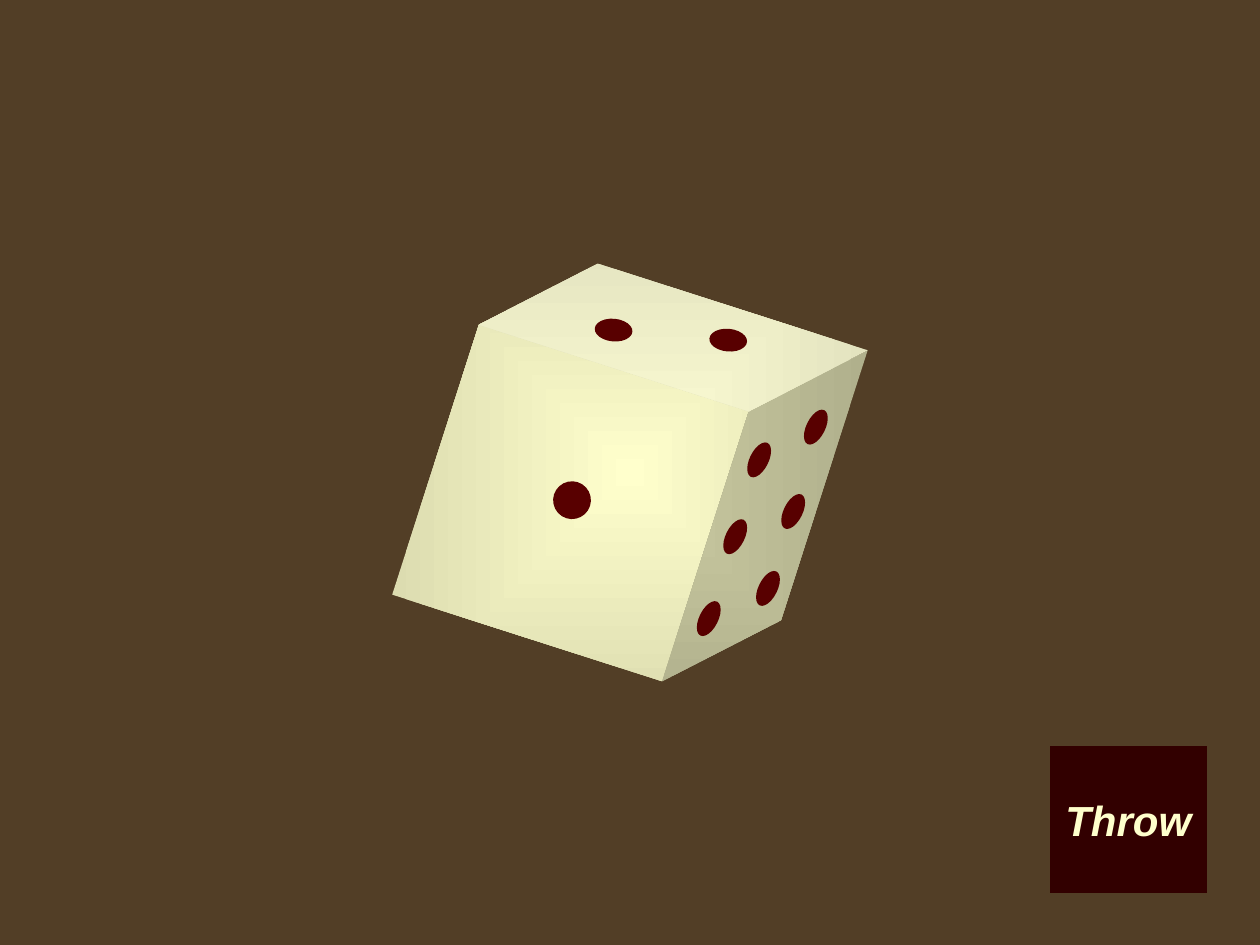
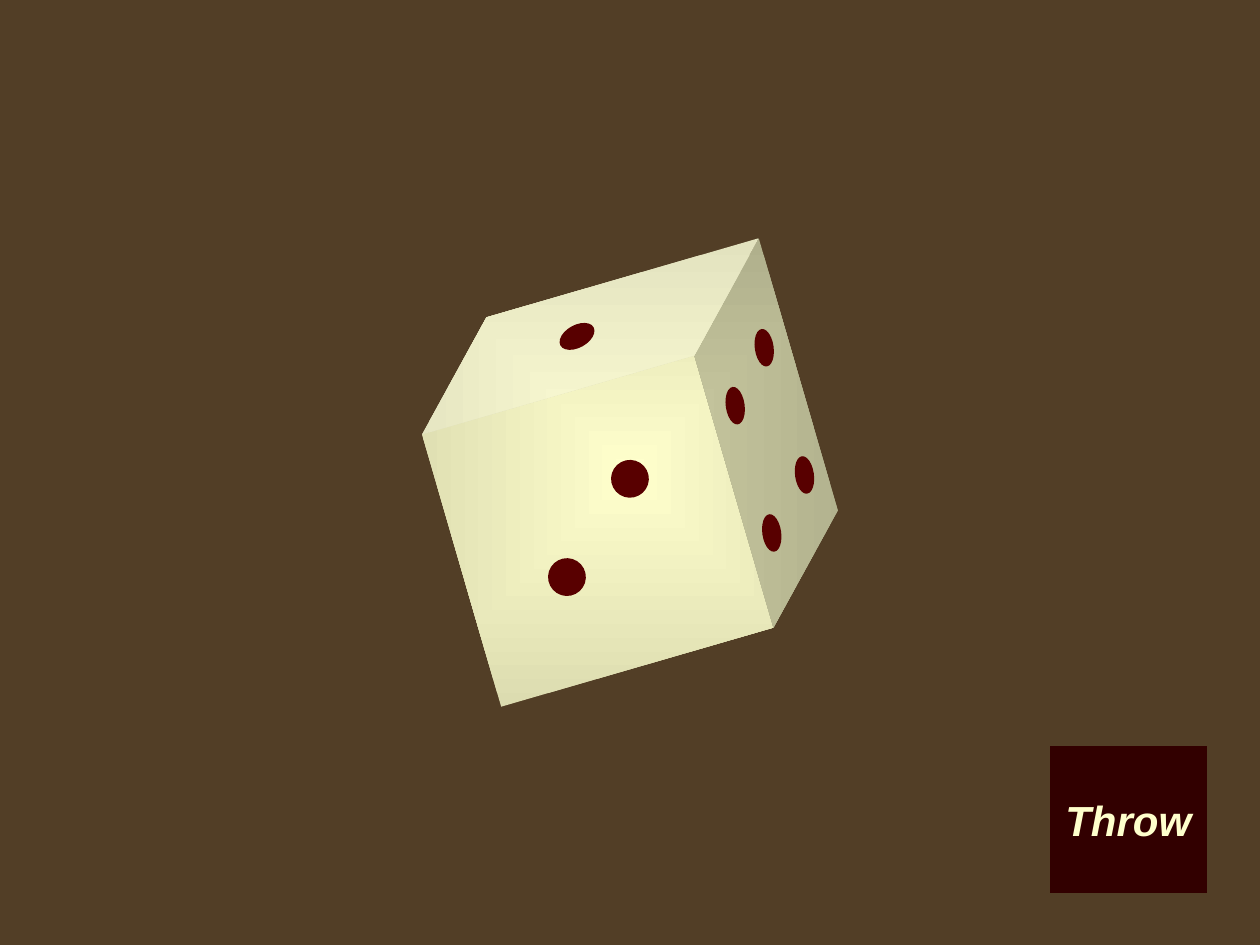
from lxml import etree
from pptx import Presentation
from pptx import util as u
from pptx.dml import color as c
from pptx.enum import shapes as es, text as et
from pptx.oxml import ns

# Colours
TABLE_BROWN = c.RGBColor(0x52, 0x3E, 0x26)
IVORY = c.RGBColor(0xFF, 0xFF, 0xCC)
IVORY_SHADE = c.RGBColor(0xDC, 0xDC, 0xB0)
PIP_RED = c.RGBColor(0x58, 0x00, 0x00)
BUTTON_RED = c.RGBColor(0x32, 0x00, 0x00)

# Pip width and height on each face of the die
FRONT = (0.3, 0.3)
TOP = (0.3, 0.18)
SIDE = (0.15, 0.3)

# Each throw: turn of the die, then (pip size, pip turn, pip corners) per face
THROWS = [
    (17.8, [
        (TOP, 5.1, [(4.72, 2.53), (5.63, 2.61)]),
        (FRONT, 17.8, [(4.39, 3.82)]),
        (SIDE, 26.2, [(6.4, 3.24), (5.76, 4.11), (5.55, 4.76),
                      (5.95, 3.5), (6.02, 4.52), (6.22, 3.91)]),
    ]),
    (343.8, [
        (FRONT, 302.6, [(4.35, 4.43), (4.85, 3.65)]),
        (TOP, 331.1, [(4.43, 2.58)]),
        (SIDE, 352.2, [(5.99, 2.61), (6.05, 4.08), (5.76, 3.07), (6.31, 3.62)]),
    ]),
]


def add_plain(slide, preset, left, top, width, height, turn=0):
    """Add a preset shape without outline or shadow."""
    plain = slide.shapes.add_shape(
        preset, *(u.Inches(v) for v in (left, top, width, height)))
    plain.rotation = turn
    plain.shadow.inherit = False
    plain.line.fill.background()
    return plain


def add_solid(slide, preset, left, top, width, height, colour, turn=0):
    solid = add_plain(slide, preset, left, top, width, height, turn)
    solid.fill.solid()
    solid.fill.fore_color.rgb = colour
    return solid


def add_die(slide, turn):
    """Add the cube, lit from its centre outwards."""
    die = add_plain(slide, es.MSO_SHAPE.CUBE, 3.5, 2.25, 3, 3, turn)
    die.adjustments[0] = 0.25
    die.fill.gradient()
    for stop, colour in zip(die.fill.gradient_stops, (IVORY, IVORY_SHADE)):
        stop.color.rgb = colour
    # Turn the linear gradient into a rectangular one that stays upright
    glow = die._element.spPr.find(ns.qn("a:gradFill"))
    glow.set("rotWithShape", "0")
    glow.remove(glow.find(ns.qn("a:lin")))
    rings = etree.SubElement(glow, ns.qn("a:path"), path="rect")
    etree.SubElement(rings, ns.qn("a:fillToRect"),
                     {side: "50000" for side in "ltrb"})


def add_pips(slide, size, turn, corners):
    for left, top in corners:
        add_solid(slide, es.MSO_SHAPE.OVAL, left, top, *size, PIP_RED, turn)


def add_throw_button(slide):
    button = add_solid(slide, es.MSO_SHAPE.ACTION_BUTTON_CUSTOM,
                       8.33, 5.92, 1.25, 1.17, BUTTON_RED)
    frame = button.text_frame
    frame.word_wrap = False
    frame.vertical_anchor = et.MSO_ANCHOR.MIDDLE
    label = frame.paragraphs[0]
    label.alignment = et.PP_ALIGN.CENTER
    word = label.add_run()
    word.text = "Throw"
    word.font.name = "Arial"
    word.font.size = u.Pt(24)
    word.font.bold = word.font.italic = True
    word.font.color.rgb = IVORY


def add_throw(deck, turn, faces):
    slide = deck.slides.add_slide(deck.slide_layouts[6])
    slide.background.fill.solid()
    slide.background.fill.fore_color.rgb = TABLE_BROWN
    add_die(slide, turn)
    for face in faces:
        add_pips(slide, *face)
    add_throw_button(slide)


def main():
    deck = Presentation()
    deck.slide_width = u.Inches(10)
    deck.slide_height = u.Inches(7.5)
    for turn, faces in THROWS:
        add_throw(deck, turn, faces)
    deck.save("out.pptx")


if __name__ == "__main__":
    main()
